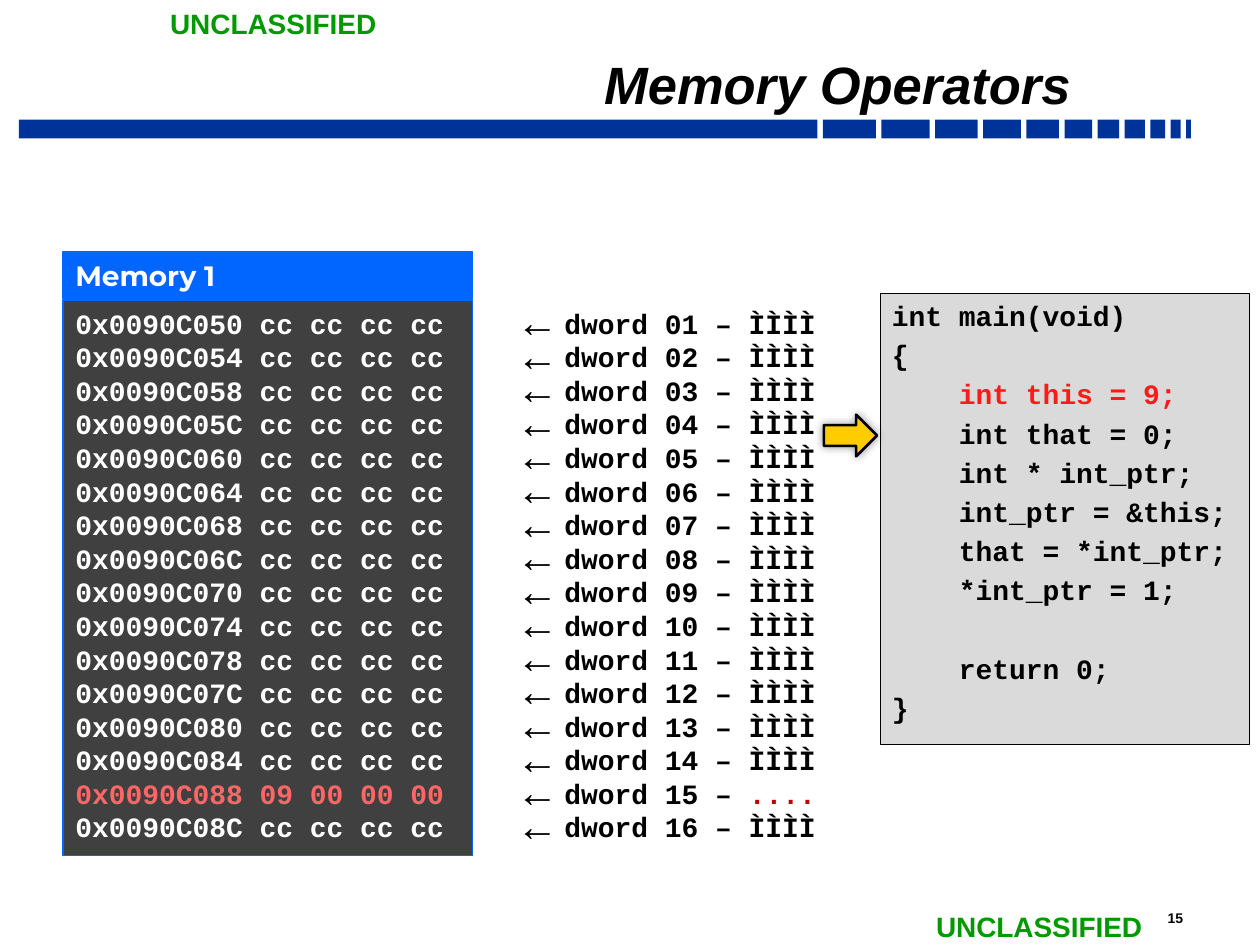
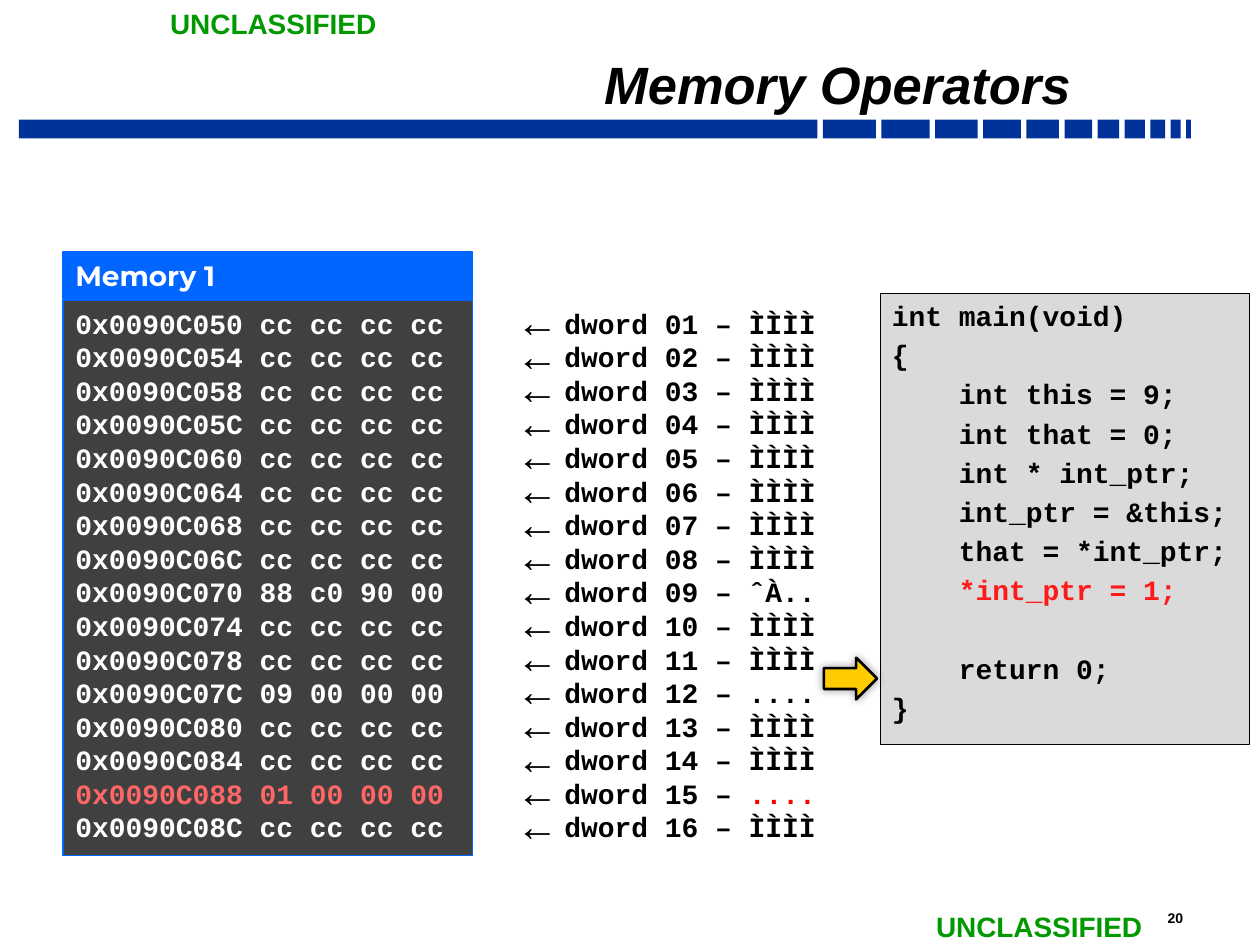
from dataclasses import dataclass, replace

import pptx
import pptx.dml.color
import pptx.enum.shapes
import pptx.enum.text
import pptx.oxml
import pptx.oxml.ns
import pptx.util
from lxml import etree

Cm, Pt = pptx.util.Cm, pptx.util.Pt
RGBColor = pptx.dml.color.RGBColor
MSO_SHAPE = pptx.enum.shapes.MSO_SHAPE
MSO_ANCHOR = pptx.enum.text.MSO_ANCHOR
PP_ALIGN = pptx.enum.text.PP_ALIGN
qn = pptx.oxml.ns.qn

BLACK = RGBColor(0x00, 0x00, 0x00)
WHITE = RGBColor(0xFF, 0xFF, 0xFF)
NAVY = RGBColor(0x00, 0x33, 0x99)
GREEN = RGBColor(0x00, 0x99, 0x00)
BLUE = RGBColor(0x00, 0x66, 0xFF)
CHARCOAL = RGBColor(0x40, 0x40, 0x40)
GRAY = RGBColor(0xDA, 0xDA, 0xDA)
YELLOW = RGBColor(0xFF, 0xCC, 0x00)
CODE_RED = RGBColor(0xFF, 0x1A, 0x1A)
PINK = RGBColor(0xFF, 0x66, 0x66)
DARK_RED = RGBColor(0xC0, 0x00, 0x00)
RED = RGBColor(0xFF, 0x00, 0x00)


@dataclass(frozen=True)
class Box:
    """Left, top, width and height in centimetres."""
    x: float
    y: float
    w: float
    h: float

    def lengths(self):
        return Cm(self.x), Cm(self.y), Cm(self.w), Cm(self.h)


@dataclass(frozen=True)
class Style:
    font: str
    size: float
    color: RGBColor
    italic: bool = False


@dataclass(frozen=True)
class Span:
    text: str
    color: RGBColor


@dataclass(frozen=True)
class MemoryState:
    page: int
    dwords: dict  # row number -> (bytes, characters)
    char_color: RGBColor
    code_line: str
    arrow_top: float


LABEL = Style("Arial", 16, GREEN)
TITLE = Style("Arial", 30, BLACK, italic=True)
PAGE = Style("Arial", 8, BLACK)
HEADER = Style("Montserrat", 16, WHITE)
CODE = Style("Courier New", 16, BLACK)

BAND_X, BAND_Y, BAND_H, BAND_GAP = 0.38, 2.41, 0.38, 0.11
BAND_WIDTHS = (16.1, 1.07, 0.97, 0.86, 0.76, 0.66, 0.56, 0.43, 0.41, 0.3, 0.2, 0.1)
LABEL_BOXES = (Box(3.18, 0, 4.72, 0.94), Box(18.62, 18.21, 4.72, 0.94))
PAGE_BOX = Box(23.29, 18.21, 1.37, 0.58)
TITLE_BOX = Box(4.24, 0.89, 17.58, 1.5)
HEADER_BOX = Box(1.27, 5.08, 8.26, 0.94)
MEMORY_BOX = Box(1.27, 6.05, 8.26, 11.2)
DWORD_BOX = Box(10.16, 6.05, 14.43, 11.2)
CODE_BOX = Box(17.75, 5.92, 7.44, 9.09)
ARROW_BOX = Box(16.61, 0, 1.07, 0.84)

FIRST_ADDRESS, ROWS, CHANGED_ROW = 0x0090C050, 16, 15
UNSET = ("cc cc cc cc", "ÌÌÌÌ")
BULLET_INDENT = Cm(0.97)
CODE_INDENT = Cm(1.35)
CODE_GAP, CODE_PITCH = 3.2, 22.4
STATEMENTS = ("int this = 9;", "int that = 0;", "int * int_ptr;",
              "int_ptr = &this;", "that = *int_ptr;", "*int_ptr = 1;", "return 0;")

STATES = (
    MemoryState(15, {15: ("09 00 00 00", "....")}, DARK_RED, "int this = 9;", 8.36),
    MemoryState(20, {9: ("88 c0 90 00", "ˆÀ.."), 12: ("09 00 00 00", "...."),
                     15: ("01 00 00 00", "....")}, RED, "*int_ptr = 1;", 13.26),
)


def format_run(r, style: Style, color: RGBColor) -> None:
    r.font.name, r.font.size = style.font, Pt(style.size)
    r.font.bold, r.font.italic = True, style.italic
    r.font.color.rgb = color


def write(tf, lines: list, style: Style) -> None:
    """Write one paragraph for each list of spans."""
    for i, spans in enumerate(lines):
        p = tf.add_paragraph() if i else tf.paragraphs[0]
        p.alignment = PP_ALIGN.LEFT
        for span in spans:
            r = p.add_run()
            r.text = span.text
            format_run(r, style, span.color)


def add_text(s, box: Box, text: str, style: Style, wrap: bool = True) -> None:
    tf = s.shapes.add_textbox(*box.lengths()).text_frame
    tf.word_wrap = wrap
    write(tf, [[Span(text, style.color)]], style)


def add_panel(shapes, box: Box, fill: RGBColor, line=None, width: float = 0.75,
              kind=MSO_SHAPE.RECTANGLE):
    sp = shapes.add_shape(kind, *box.lengths())
    sp.shadow.inherit = False
    sp.fill.solid()
    sp.fill.fore_color.rgb = fill
    if line is None:
        sp.line.fill.background()
    else:
        sp.line.color.rgb = line
        sp.line.width = Pt(width)
    sp.text_frame.word_wrap = True
    sp.text_frame.vertical_anchor = MSO_ANCHOR.TOP
    return sp


def indent(p, left: int, first: int = 0):
    pPr = p._p.get_or_add_pPr()
    pPr.set("marL", str(left))
    pPr.set("indent", str(first))
    return pPr


def set_arrow_bullet(p) -> None:
    pPr = indent(p, BULLET_INDENT, -BULLET_INDENT)
    color = etree.SubElement(pPr, qn("a:buClr"))
    etree.SubElement(color, qn("a:srgbClr"), val=str(BLACK))
    etree.SubElement(pPr, qn("a:buSzPct"), val="150000")
    etree.SubElement(pPr, qn("a:buFont"), typeface="Arial")
    etree.SubElement(pPr, qn("a:buChar"), char="←")


def add_glow_shadow(sp) -> None:
    effects = sp._element.spPr.find(qn("a:effectLst"))
    shadow = etree.SubElement(effects, qn("a:outerShdw"), blurRad=str(Pt(5)), dist="0", dir="0")
    color = etree.SubElement(shadow, qn("a:srgbClr"), val=str(BLACK))
    etree.SubElement(color, qn("a:alpha"), val="40000")


def set_insets(tf) -> None:
    tf.margin_left = tf.margin_right = Cm(0.23)
    tf.margin_top = tf.margin_bottom = Cm(0.1)


def add_frame(s, title: str, page: int) -> None:
    # Segmented band
    x = BAND_X
    for w in BAND_WIDTHS:
        add_panel(s.shapes, Box(x, BAND_Y, w, BAND_H), NAVY)
        x += w + BAND_GAP
    # Classification labels and page number
    add_text(s, PAGE_BOX, str(page), PAGE)
    for box in LABEL_BOXES:
        add_text(s, box, "UNCLASSIFIED", LABEL, wrap=False)
    # Title
    sp = s.shapes.title
    sp.left, sp.top, sp.width, sp.height = TITLE_BOX.lengths()
    tf = sp.text_frame
    tf.text = title
    tf.auto_size = pptx.enum.text.MSO_AUTO_SIZE.NONE
    tf.vertical_anchor = MSO_ANCHOR.BOTTOM
    set_insets(tf)
    p = tf.paragraphs[0]
    p.alignment, p.line_spacing = PP_ALIGN.RIGHT, 0.7
    format_run(p.runs[0], TITLE, TITLE.color)


def add_memory(s, state: MemoryState) -> None:
    memory, dwords = [], []
    for row in range(1, ROWS + 1):
        changed = row == CHANGED_ROW
        values, chars = state.dwords.get(row, UNSET)
        address = FIRST_ADDRESS + 4 * (row - 1)
        memory.append([Span(f"0x{address:08X} {values}", PINK if changed else WHITE)])
        dwords.append([Span(f"dword {row:02} – ", BLACK),
                       Span(chars, state.char_color if changed else BLACK)])
    # Memory window
    group = s.shapes.add_group_shape()
    tf = add_panel(group.shapes, HEADER_BOX, BLUE, BLUE).text_frame
    tf.vertical_anchor = MSO_ANCHOR.MIDDLE
    write(tf, [[Span("Memory 1", WHITE)]], HEADER)
    write(add_panel(group.shapes, MEMORY_BOX, CHARCOAL, BLUE).text_frame, memory, CODE)
    # Dword list
    tf = s.shapes.add_textbox(*DWORD_BOX.lengths()).text_frame
    tf.word_wrap = True
    write(tf, dwords, CODE)
    for p in tf.paragraphs:
        set_arrow_bullet(p)


def add_code(s, state: MemoryState) -> None:
    tf = add_panel(s.shapes, CODE_BOX, GRAY, BLACK, 1).text_frame
    set_insets(tf)
    lines = ("int main(void)", "{", *STATEMENTS, "}")
    write(tf, [[Span(line, CODE_RED if line == state.code_line else BLACK)]
               for line in lines], CODE)
    for p in tf.paragraphs:
        p.space_before = Pt(CODE_GAP)
        if p.text in STATEMENTS:
            indent(p, CODE_INDENT)
        if p.text.startswith("return"):
            p.space_before = Pt(CODE_GAP + CODE_PITCH)
    # Pointer to the next statement
    arrow = add_panel(s.shapes, replace(ARROW_BOX, y=state.arrow_top), YELLOW, BLACK, 1.5,
                      MSO_SHAPE.RIGHT_ARROW)
    add_glow_shadow(arrow)


def main() -> None:
    prs = pptx.Presentation()
    prs.slide_width, prs.slide_height = Cm(25.4), Cm(19.05)
    for state in STATES:
        s = prs.slides.add_slide(prs.slide_layouts[5])
        add_frame(s, "Memory Operators", state.page)
        add_memory(s, state)
        add_code(s, state)
    prs.save("out.pptx")


if __name__ == "__main__":
    main()
